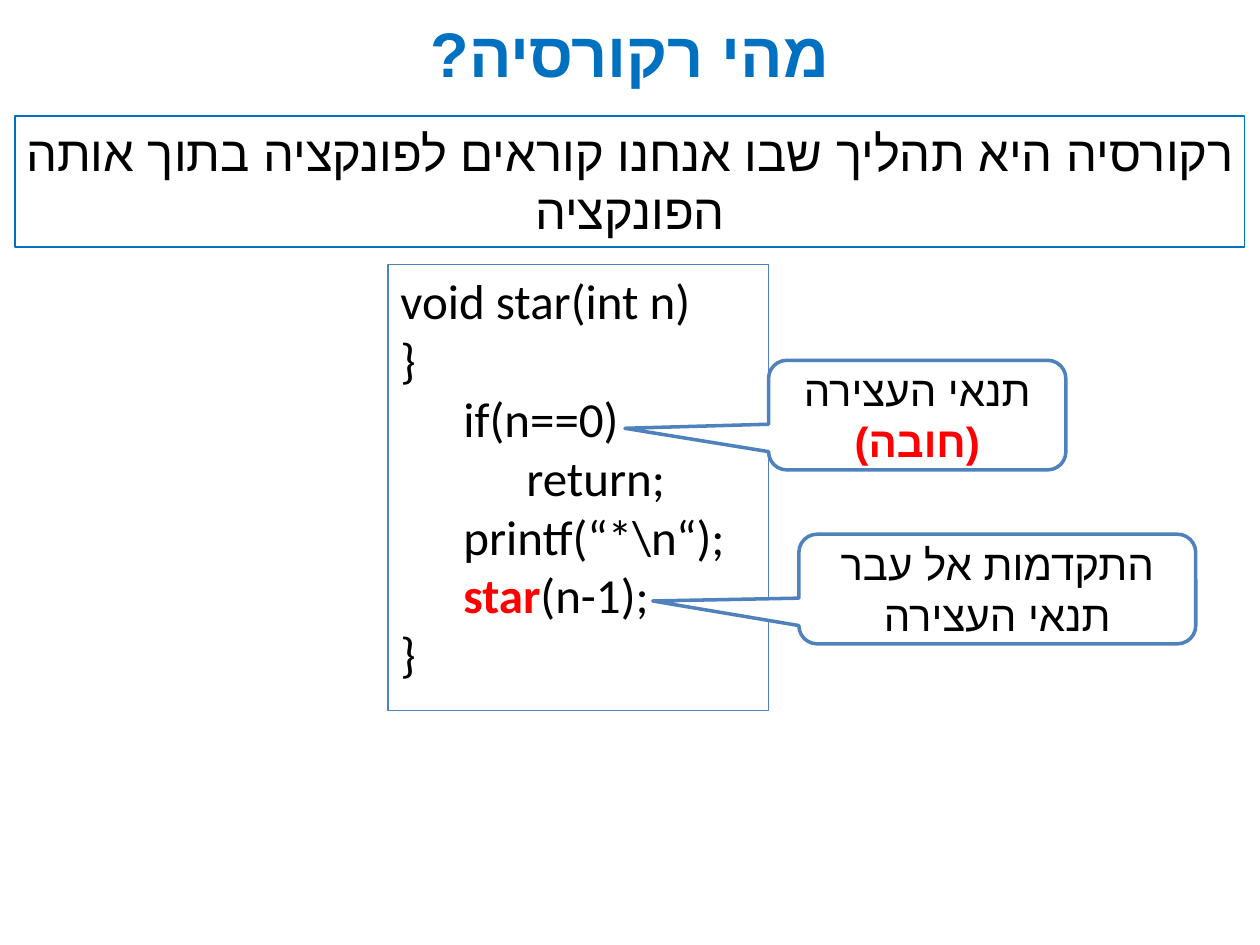
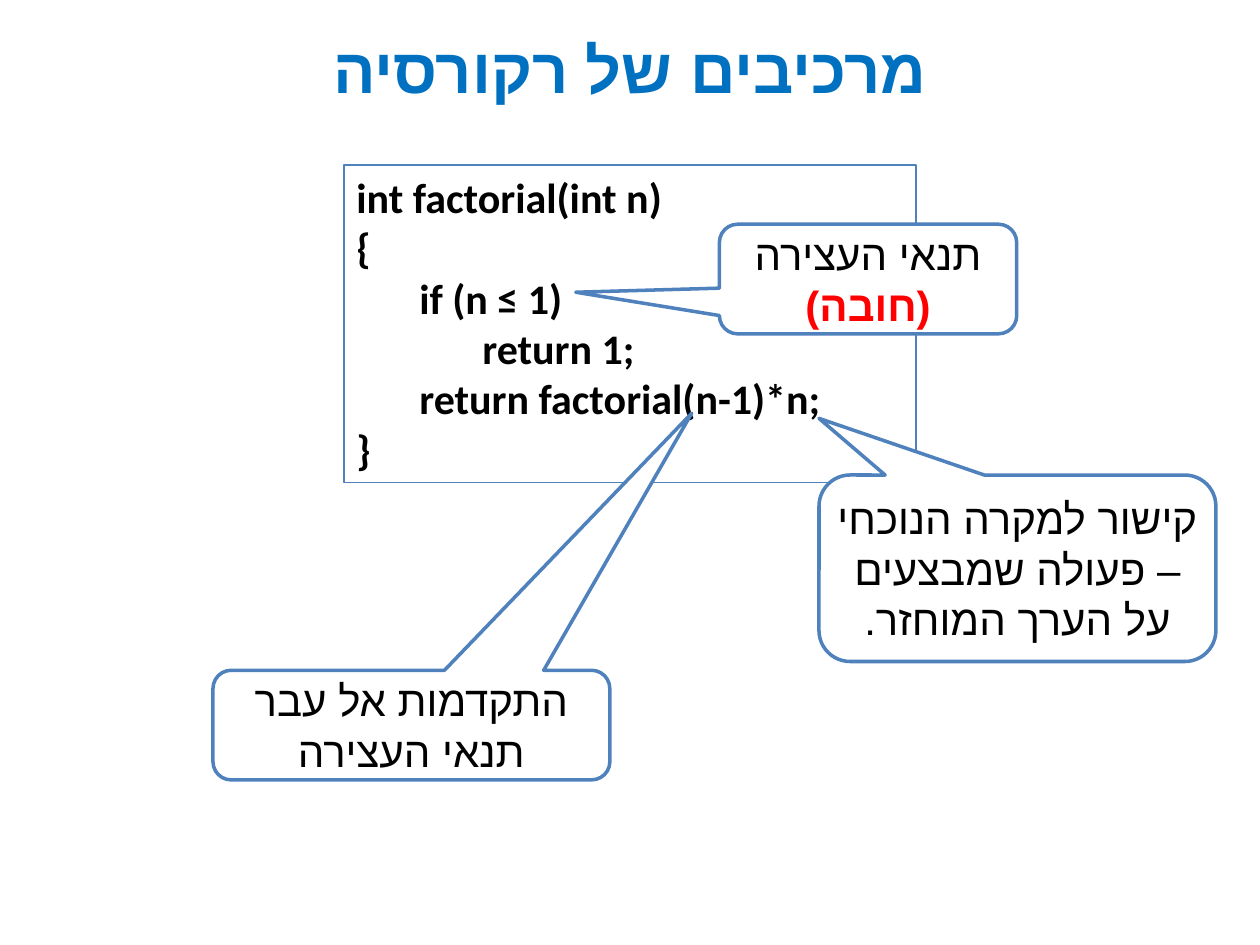
from lxml import etree
from pptx import Presentation
from pptx import util as u
from pptx.dml import color
from pptx.enum import lang, shapes, text
from pptx.oxml import ns

TITLE_BLUE = "0070C0"
OUTLINE_BLUE = "4F81BD"
BLACK, WHITE, RED = "000000", "FFFFFF", "FF0000"
TITLE_FONT, BODY_FONT, HEBREW_FONT = "Arial", "Calibri", "Arial"
CALLOUT_SIZE = 24
HEBREW_INSET = 0.05
STOP_CONDITION = [("תנאי העצירה ", BLACK, False), ("(חובה)", RED, True)]
PROGRESS = [("התקדמות אל עבר תנאי העצירה", BLACK, False)]
CURRENT_CASE = [("קישור למקרה הנוכחי – פעולה שמבצעים על הערך המוחזר.", BLACK, False)]


def rgb(value):
    return color.RGBColor.from_string(value)


def add_span(para, words, size, ink=BLACK, bold=False, font=BODY_FONT):
    span = para.add_run()
    span.text = words
    span.font.size = u.Pt(size)
    span.font.bold = bold
    span.font.name = font
    span.font.color.rgb = rgb(ink)
    if para.alignment == text.PP_ALIGN.CENTER:
        span.font.language_id = lang.MSO_LANGUAGE_ID.HEBREW
        etree.SubElement(span.font._element, ns.qn("a:cs")).set("typeface", HEBREW_FONT)


def make_hebrew(para):
    para.alignment = text.PP_ALIGN.CENTER
    para._p.get_or_add_pPr().set("rtl", "1")


def start_hebrew(panel):
    frame = panel.text_frame
    frame.margin_left = frame.margin_right = u.Inches(HEBREW_INSET)
    para = frame.paragraphs[0]
    make_hebrew(para)
    return para


def place(item, box):
    item.left, item.top, item.width, item.height = map(u.Inches, box)


def add_page(deck, title, top):
    page = deck.slides.add_slide(deck.slide_layouts[5])
    place(page.shapes.title, (0.73, top, 8.54, 0.69))
    page.shapes.title.text_frame.vertical_anchor = text.MSO_ANCHOR.MIDDLE
    add_span(start_hebrew(page.shapes.title), title, 36, TITLE_BLUE, True, TITLE_FONT)
    return page


def add_panel(page, kind, box, outline, width, fill=WHITE, anchor=text.MSO_ANCHOR.TOP):
    panel = page.shapes.add_shape(kind, *map(u.Inches, box))
    panel.shadow.inherit = False
    if fill:
        panel.fill.solid()
        panel.fill.fore_color.rgb = rgb(fill)
    else:
        panel.fill.background()
    panel.line.color.rgb = rgb(outline)
    panel.line.width = u.Pt(width)
    panel.text_frame.word_wrap = True
    panel.text_frame.vertical_anchor = anchor
    return panel


def add_definition(page, box, words):
    panel = add_panel(page, shapes.MSO_SHAPE.RECTANGLE, box, TITLE_BLUE, 0.75, None)
    add_span(start_hebrew(panel), words, 28)


def add_code(page, box, lines, size, bold=False):
    panel = add_panel(page, shapes.MSO_SHAPE.RECTANGLE, box, OUTLINE_BLUE, 0.75)
    frame = panel.text_frame
    for number, (level, *spans) in enumerate(lines):
        para = frame.add_paragraph() if number else frame.paragraphs[0]
        para.alignment = text.PP_ALIGN.LEFT
        para.level = level
        properties = para._p.get_or_add_pPr()
        properties.set("marL", str(u.Inches(level * 0.5)))
        properties.set("indent", "0")
        for words in spans:
            is_call = words == "star"
            add_span(para, words, size, RED if is_call else BLACK, bold or is_call)


def add_callout(page, box, tip, spans):
    left, top, width, height = box
    callout = add_panel(page, shapes.MSO_SHAPE.ROUNDED_RECTANGULAR_CALLOUT, box,
                        OUTLINE_BLUE, 2, anchor=text.MSO_ANCHOR.MIDDLE)
    callout.adjustments[0] = (tip[0] - left) / width - 0.5
    callout.adjustments[1] = (tip[1] - top) / height - 0.5
    para = start_hebrew(callout)
    for words, ink, bold in spans:
        add_span(para, words, CALLOUT_SIZE, ink, bold)


def add_definition_page(deck):
    page = add_page(deck, "מהי רקורסיה?", 0.07)
    add_code(page, (3.08, 2.1, 3.02, 3.54), [
        (0, "void star(int n)"),
        (0, "}"),
        (1, "if(n==0)"),
        (2, "return;"),
        (1, "printf(“*\\n“);"),
        (1, "star", "(n-1);"),
        (0, "}"),
    ], 28)
    add_definition(page, (0.12, 0.92, 9.76, 1.04),
                   "רקורסיה היא תהליך שבו אנחנו קוראים לפונקציה בתוך אותה הפונקציה")
    add_callout(page, (6.1, 2.86, 2.36, 0.87), (4.96, 3.4), STOP_CONDITION)
    add_callout(page, (6.34, 4.24, 3.15, 0.87), (5.18, 4.77), PROGRESS)


def add_components_page(deck):
    page = add_page(deck, "מרכיבים של רקורסיה", 0.2)
    add_code(page, (2.73, 1.31, 4.54, 2.52), [
        (0, "int factorial(int n)"),
        (0, "{"),
        (1, "if (n ≤ 1)"),
        (2, "return 1;"),
        (1, "return factorial(n-1)*n;"),
        (0, "}"),
    ], 24, True)
    add_callout(page, (5.71, 1.78, 2.36, 0.87), (4.57, 2.32), STOP_CONDITION)
    add_callout(page, (1.69, 5.32, 3.15, 0.87), (5.49, 3.28), PROGRESS)
    add_callout(page, (6.5, 3.77, 3.15, 1.48), (6.5, 3.32), CURRENT_CASE)


def main():
    deck = Presentation()
    deck.slide_width, deck.slide_height = u.Inches(10), u.Inches(7.5)
    add_definition_page(deck)
    add_components_page(deck)
    deck.save("out.pptx")


if __name__ == "__main__":
    main()
